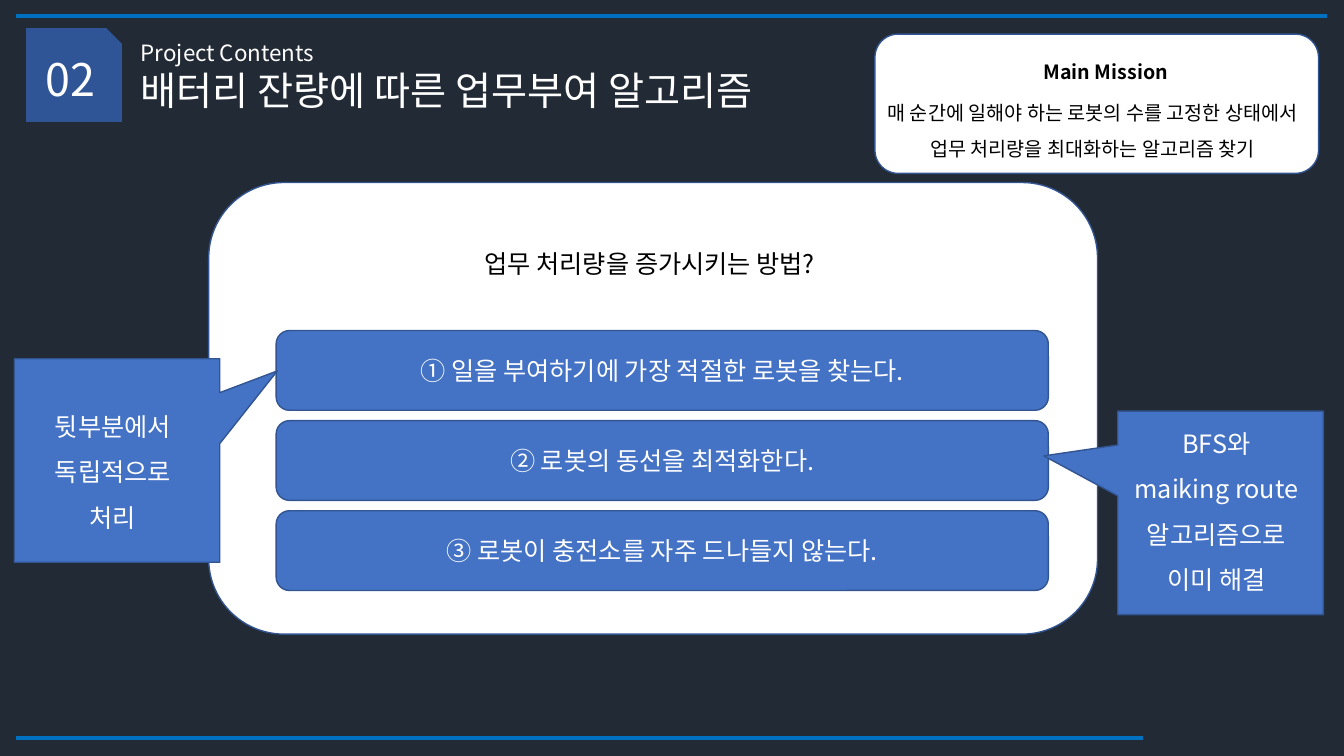
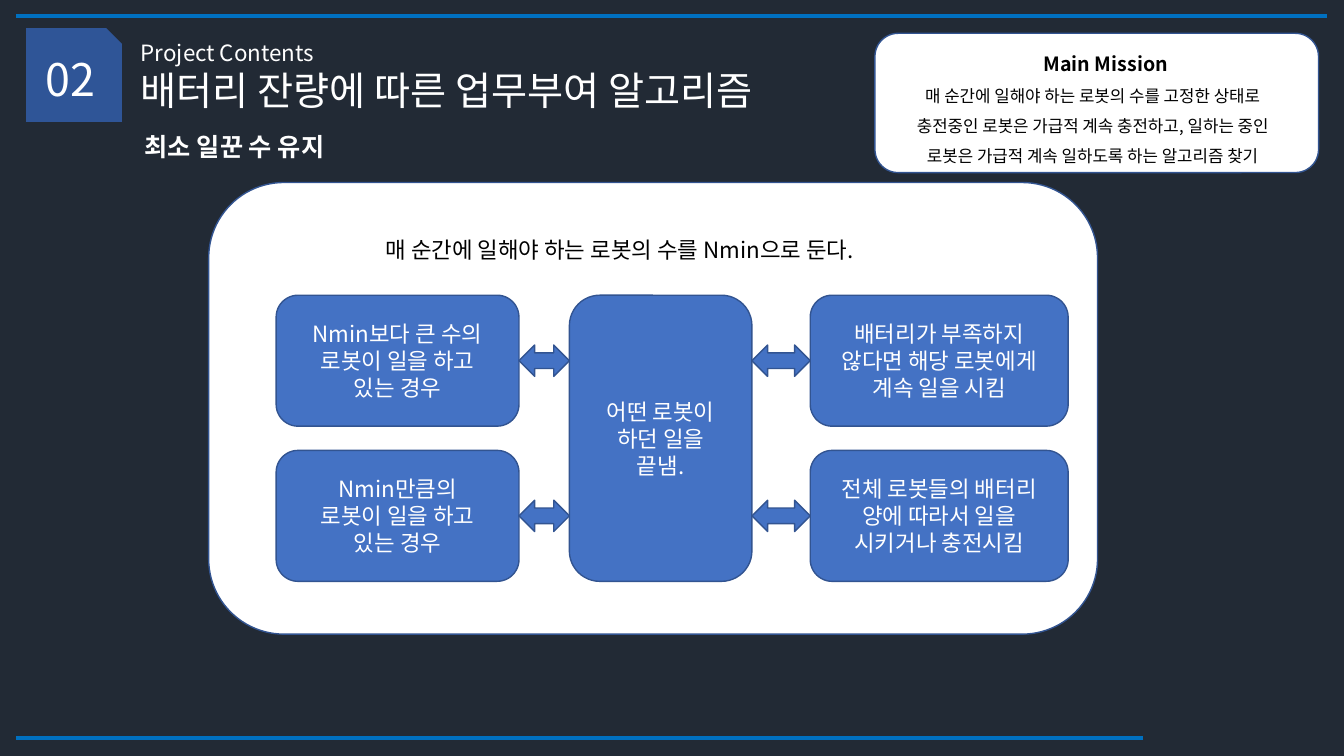
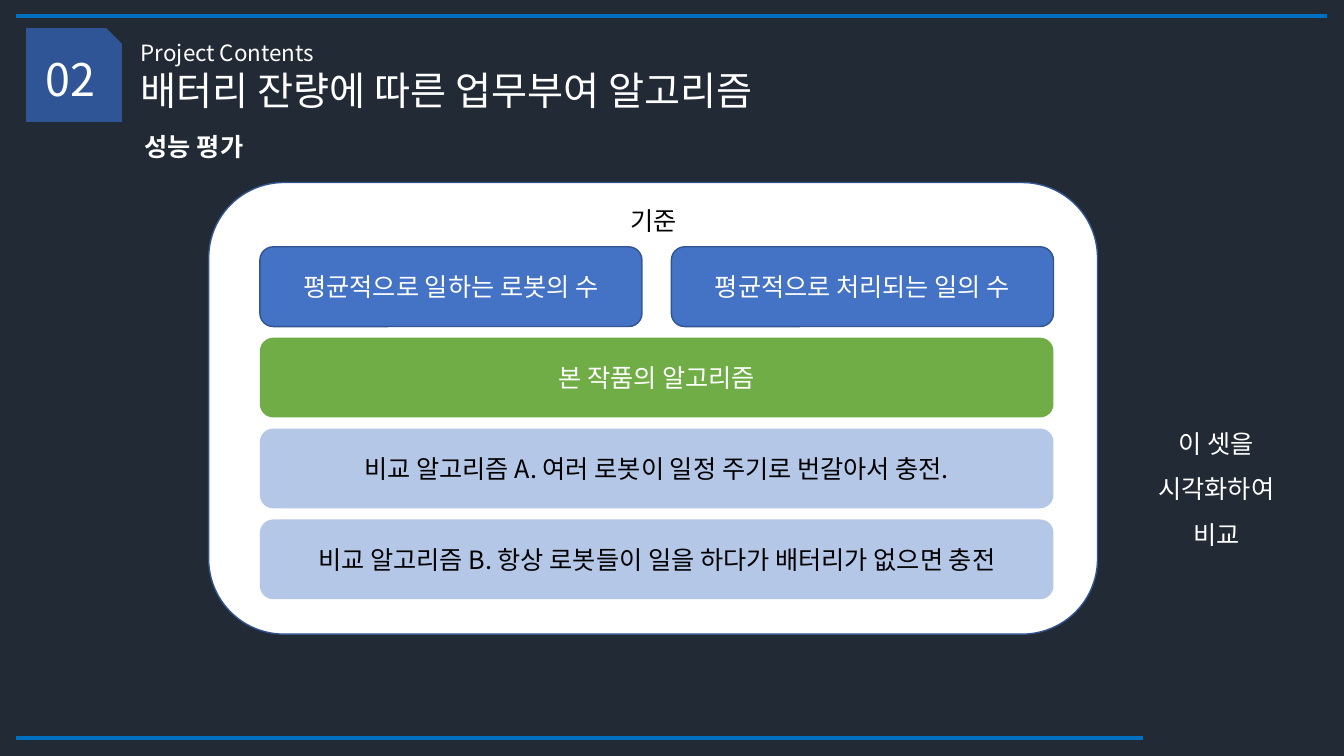
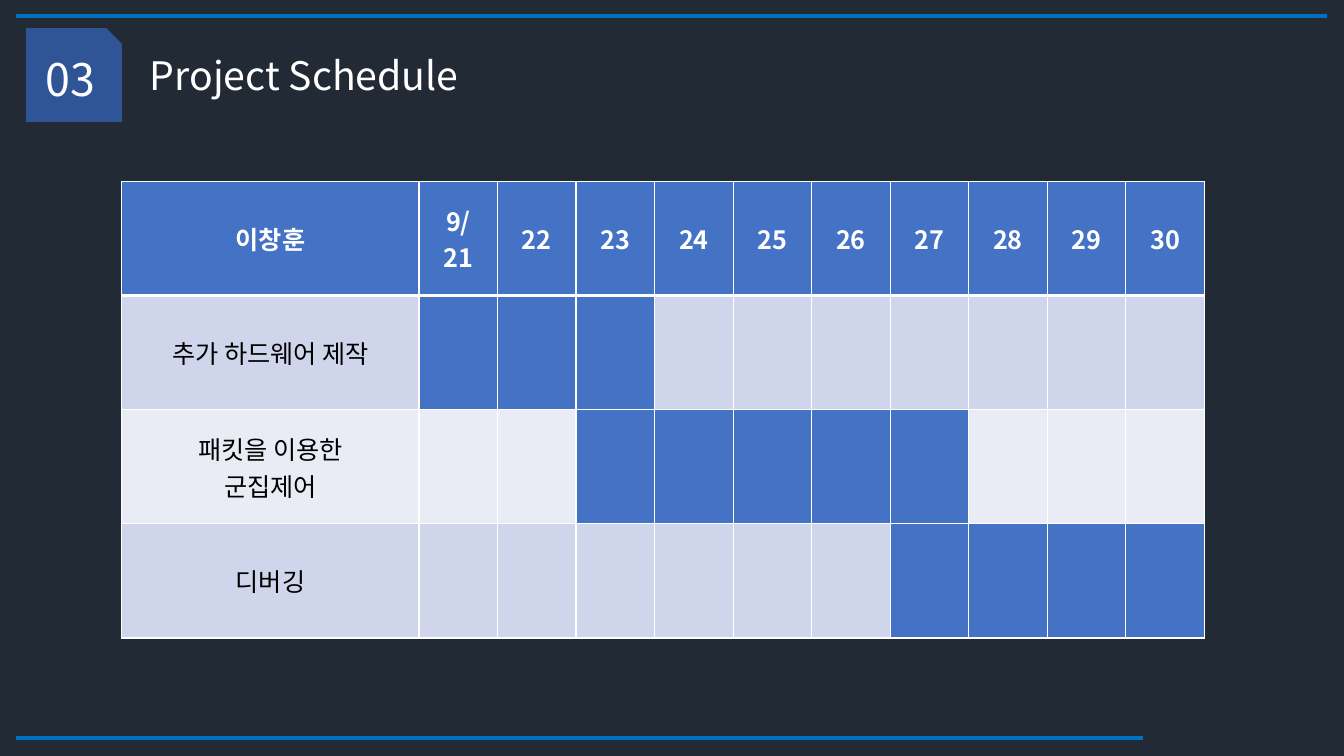
from dataclasses import dataclass
from typing import NamedTuple

from lxml.etree import SubElement
from pptx import Presentation
from pptx.dml.color import RGBColor
from pptx.enum.shapes import MSO_CONNECTOR as Connector, MSO_SHAPE as Preset
from pptx.enum.text import MSO_ANCHOR as Anchor, MSO_AUTO_SIZE as AutoSize, PP_ALIGN as Align
from pptx.oxml.ns import qn
from pptx.util import Cm, Pt


@dataclass(frozen=True)
class Theme:
    """Colours, type sizes and the font of the presentation."""
    font: str = "Noto Sans CJK KR"
    background: str = "222A35"
    white: str = "FFFFFF"
    black: str = "000000"
    badge: str = "2F5597"
    rail: str = "0070C0"
    accent: str = "4472C4"
    outline: str = "325491"
    green: str = "70AD47"
    pale: str = "B4C7E7"
    bands: tuple = ("CFD5EA", "E9EBF5")
    number: int = 32
    title: int = 28
    body: int = 18
    label: int = 16
    mission: int = 14
    small: int = 12


class Box(NamedTuple):
    """A rectangle measured in centimetres."""
    left: float
    top: float
    width: float
    height: float

    def inner(self, left, top, width, height):
        """Return a box placed relative to this one."""
        return Box(self.left + left, self.top + top, width, height)

    def lengths(self):
        """Return the four sides as slide lengths."""
        return [Cm(value) for value in self]


THEME = Theme()
PANEL = Box(5.26, 4.6, 22.4, 11.38)
TOPIC = "배터리 잔량에 따른 업무부여 알고리즘"


def color(code):
    """Return a colour object for a hexadecimal code."""
    return RGBColor.from_string(code)


def write(frame, text, *, size=THEME.body, ink=THEME.white, bold=False,
          align=Align.CENTER, spacing=None):
    """Fill a text frame with one paragraph per line of text."""
    for index, line in enumerate(text.split("\n")):
        paragraph = frame.add_paragraph() if index else frame.paragraphs[0]
        paragraph.alignment = align
        if spacing:
            paragraph.line_spacing = spacing
        run = paragraph.add_run()
        run.text = line
        run.font.size = Pt(size)
        run.font.bold = bold
        run.font.color.rgb = color(ink)
        run.font.name = THEME.font
        SubElement(run.font._element, qn("a:ea"), typeface=THEME.font)


def add_text(shapes, box, text, **style):
    """Add a text box that grows with its text."""
    frame = shapes.add_textbox(*box.lengths()).text_frame
    frame.word_wrap = True
    frame.auto_size = AutoSize.SHAPE_TO_FIT_TEXT
    write(frame, text, **style)


def add_block(shapes, box, text="", preset=Preset.ROUNDED_RECTANGLE,
              fill=THEME.accent, line=THEME.outline, **style):
    """Add a flat preset shape with centred text."""
    shape = shapes.add_shape(preset, *box.lengths())
    shape.shadow.inherit = False
    shape.fill.solid()
    shape.fill.fore_color.rgb = color(fill)
    if line:
        shape.line.color.rgb = color(line)
        shape.line.width = Pt(1)
    else:
        shape.line.fill.background()
    if text:
        shape.text_frame.vertical_anchor = Anchor.MIDDLE
        write(shape.text_frame, text, **style)
    return shape


def add_rail(shapes, start, end, level):
    """Add one horizontal rail across the slide."""
    rail = shapes.add_connector(Connector.STRAIGHT, Cm(start), Cm(level), Cm(end), Cm(level))
    rail.line.color.rgb = color(THEME.rail)
    rail.line.width = Pt(3)
    SubElement(rail._element.spPr, qn("a:effectLst"))


def add_frame(presentation, number):
    """Add a slide with its rails and numbered badge."""
    shapes = presentation.slides.add_slide(presentation.slide_layouts[6]).shapes
    add_rail(shapes, 0.41, 33.45, 0.41)
    add_rail(shapes, 0.41, 28.8, 18.59)
    add_block(shapes, Box(0.66, 0.71, 2.41, 2.36), number, Preset.SNIP_1_RECTANGLE,
              THEME.badge, None, size=THEME.number)
    return shapes


def add_topic_slide(presentation, subtitle=""):
    """Add a contents slide with its titles and white panel."""
    shapes = add_frame(presentation, "02")
    header = Box(3.3, 0.86, 22.6, 3.4)
    add_text(shapes, header.inner(0, 0, 22.6, 0.94), "Project Contents",
             size=THEME.label, align=Align.LEFT)
    add_text(shapes, header.inner(0, 0.69, 22.6, 1.45), TOPIC,
             size=THEME.title, align=Align.LEFT)
    if subtitle:
        add_text(shapes, header.inner(0.1, 2.32, 22.6, 1.02), subtitle,
                 bold=True, align=Align.LEFT)
    add_block(shapes, PANEL, fill=THEME.white)
    return shapes


def add_mission(shapes, box, text, size, heading_top, text_top):
    """Add the grouped mission card with heading and text."""
    group = shapes.add_group_shape().shapes
    add_block(group, box, fill=THEME.white)
    add_text(group, box.inner(-0.1, text_top, box.width, 1.93), text,
             size=size, ink=THEME.black, spacing=1.5)
    add_text(group, box.inner(0.23, heading_top, box.width, 1.04), "Main Mission",
             size=THEME.mission, ink=THEME.black, bold=True, spacing=1.5)


def add_callout(shapes, box, text, text_top, tip):
    """Add a callout whose tip is given as shares of its size."""
    callout = add_block(shapes, box, preset=Preset.RECTANGULAR_CALLOUT)
    callout.adjustments[0], callout.adjustments[1] = tip
    add_text(shapes, box.inner(0.07, text_top, 4.83, 3.58), text, spacing=1.5)


def add_methods(shapes, panel):
    """Add the question and its three answers to the panel."""
    add_text(shapes, panel.inner(6.2, 1.14, 9.83, 1.27), "업무 처리량을 증가시키는 방법?",
             ink=THEME.black, spacing=1.5)
    methods = ("① 일을 부여하기에 가장 적절한 로봇을 찾는다.",
               "② 로봇의 동선을 최적화한다.",
               "③ 로봇이 충전소를 자주 드나들지 않는다.")
    for index, method in enumerate(methods):
        add_block(shapes, panel.inner(1.7, 3.73 + 2.27 * index, 19.46, 2.01), method)


def add_flow(shapes, panel):
    """Add two rows of cases joined through one shared event."""
    add_text(shapes, panel.inner(4.21, 0.89, 13.59, 1.14),
             "매 순간에 일해야 하는 로봇의 수를 Nmin으로 둔다.",
             size=THEME.label, ink=THEME.black, align=Align.LEFT, spacing=1.5)
    top, height, gap, arrow_height = 2.84, 3.3, 0.61, 0.79
    case_left, case_width = 1.7, 6.12
    event_left, event_width = 9.09, 4.6
    action_left, action_width = 15.16, 6.5
    rows = (("Nmin보다 큰 수의 로봇이 일을 하고\n있는 경우",
             "배터리가 부족하지 않다면 해당 로봇에게\n계속 일을 시킴"),
            ("Nmin만큼의\n로봇이 일을 하고\n있는 경우",
             "전체 로봇들의 배터리\n양에 따라서 일을\n시키거나 충전시킴"))
    spans = ((case_left + case_width, event_left),
             (event_left + event_width, action_left))
    add_block(shapes, panel.inner(event_left, top, event_width, 2 * height + gap),
              "어떤 로봇이\n하던 일을\n끝냄.", size=THEME.label)
    for index, (case, action) in enumerate(rows):
        row_top = top + index * (height + gap)
        add_block(shapes, panel.inner(case_left, row_top, case_width, height), case,
                  size=THEME.label)
        add_block(shapes, panel.inner(action_left, row_top, action_width, height), action,
                  size=THEME.label)
        arrow_top = row_top + (height - arrow_height) / 2
        for start, end in spans:
            add_block(shapes, panel.inner(start, arrow_top, end - start, arrow_height),
                      preset=Preset.LEFT_RIGHT_ARROW)


def add_evaluation(shapes, panel):
    """Add the criteria and the compared algorithms to the panel."""
    add_text(shapes, panel.inner(10.31, 0.45, 1.8, 1.02), "기준", ink=THEME.black)
    left, top, width, height, pitch, gap = 1.29, 1.62, 20, 2.01, 2.29, 0.74
    half = (width - gap) / 2
    for index, criterion in enumerate(("평균적으로 일하는 로봇의 수", "평균적으로 처리되는 일의 수")):
        add_block(shapes, panel.inner(left + index * (half + gap), top, half, height), criterion)
    algorithms = (
        ("본 작품의 알고리즘", THEME.green, THEME.white),
        ("비교 알고리즘 A. 여러 로봇이 일정 주기로 번갈아서 충전.", THEME.pale, THEME.black),
        ("비교 알고리즘 B. 항상 로봇들이 일을 하다가 배터리가 없으면 충전", THEME.pale, THEME.black))
    for index, (name, fill, ink) in enumerate(algorithms, 1):
        add_block(shapes, panel.inner(left, top + index * pitch, width, height), name,
                  fill=fill, line=None, ink=ink)


def format_cell(cell, fill, top_width, bottom_width):
    """Give a cell white borders, a fill and a middle anchor."""
    properties = cell._tc.get_or_add_tcPr()
    widths = {"a:lnL": 1, "a:lnR": 1, "a:lnT": top_width, "a:lnB": bottom_width}
    for tag, width in widths.items():
        border = SubElement(properties, qn(tag), w=str(Pt(width)))
        SubElement(SubElement(border, qn("a:solidFill")), qn("a:srgbClr"), val=THEME.white)
    cell.fill.solid()
    cell.fill.fore_color.rgb = color(fill)
    cell.vertical_anchor = Anchor.MIDDLE


def add_schedule(shapes, box):
    """Add the schedule table with a coloured bar for each task."""
    days = ["9/ 21", *map(str, range(22, 31))]
    tasks = (("추가 하드웨어 제작", range(1, 4)),
             ("패킷을 이용한\n군집제어", range(3, 8)),
             ("디버깅", range(7, 11)))
    table = shapes.add_table(len(tasks) + 1, len(days) + 1, *box.lengths()).table
    table.first_row = table.horz_banding = False
    name_width = 7.49
    for index, column in enumerate(table.columns):
        column.width = Cm((box.width - name_width) / len(days) if index else name_width)
    for row in table.rows:
        row.height = Cm(box.height / len(table.rows))
    for column, text in enumerate(["이창훈", *days]):
        cell = table.cell(0, column)
        format_cell(cell, THEME.accent, 1, 3)
        write(cell.text_frame, text, bold=True)
    for row, (task, active) in enumerate(tasks, 1):
        band = THEME.bands[(row - 1) % 2]
        for column in range(len(days) + 1):
            fill = THEME.accent if column in active else band
            format_cell(table.cell(row, column), fill, 3 if row == 1 else 1, 1)
        write(table.cell(row, 0).text_frame, task, ink=THEME.black)


def build_methods_slide(presentation):
    """Build the slide on ways to raise throughput."""
    shapes = add_topic_slide(presentation)
    add_methods(shapes, PANEL)
    add_callout(shapes, Box(28.17, 10.36, 5.18, 5.13),
                "BFS와\nmaiking route 알고리즘으로 이미 해결", -0.07, (-0.86, -0.28))
    add_callout(shapes, Box(0.36, 9.04, 5.18, 5.13),
                "뒷부분에서\n독립적으로\n처리", 0.82, (0.78, -0.44))
    add_mission(shapes, Box(22.05, 0.86, 11.18, 3.51),
                "매 순간에 일해야 하는 로봇의 수를 고정한 상태에서 업무 처리량을 최대화하는 알고리즘 찾기",
                THEME.mission, 0.23, 1.27)


def build_flow_slide(presentation):
    """Build the slide on keeping the minimum number of workers."""
    shapes = add_topic_slide(presentation, "최소 일꾼 수 유지")
    add_flow(shapes, PANEL)
    add_mission(shapes, Box(22.05, 0.84, 11.18, 3.51),
                "매 순간에 일해야 하는 로봇의 수를 고정한 상태로\n"
                "충전중인 로봇은 가급적 계속 충전하고, 일하는 중인\n"
                "로봇은 가급적 계속 일하도록 하는 알고리즘 찾기",
                THEME.small, 0.05, 0.94)


def build_evaluation_slide(presentation):
    """Build the slide on performance evaluation."""
    shapes = add_topic_slide(presentation, "성능 평가")
    add_evaluation(shapes, PANEL)
    add_text(shapes, Box(28.24, 10.29, 4.83, 3.58), "이 셋을\n시각화하여\n비교", spacing=1.5)


def build_schedule_slide(presentation):
    """Build the project schedule slide."""
    shapes = add_frame(presentation, "03")
    add_text(shapes, Box(3.53, 1.17, 12.83, 1.45), "Project Schedule",
             size=THEME.title, align=Align.LEFT)
    add_schedule(shapes, Box(3.07, 4.57, 27.29, 11.51))


def main():
    """Build and save the presentation."""
    presentation = Presentation()
    presentation.slide_width, presentation.slide_height = Cm(33.87), Cm(19.05)
    background = presentation.slide_master.background.fill
    background.solid()
    background.fore_color.rgb = color(THEME.background)
    for build in (build_methods_slide, build_flow_slide,
                  build_evaluation_slide, build_schedule_slide):
        build(presentation)
    presentation.save("out.pptx")


if __name__ == "__main__":
    main()
